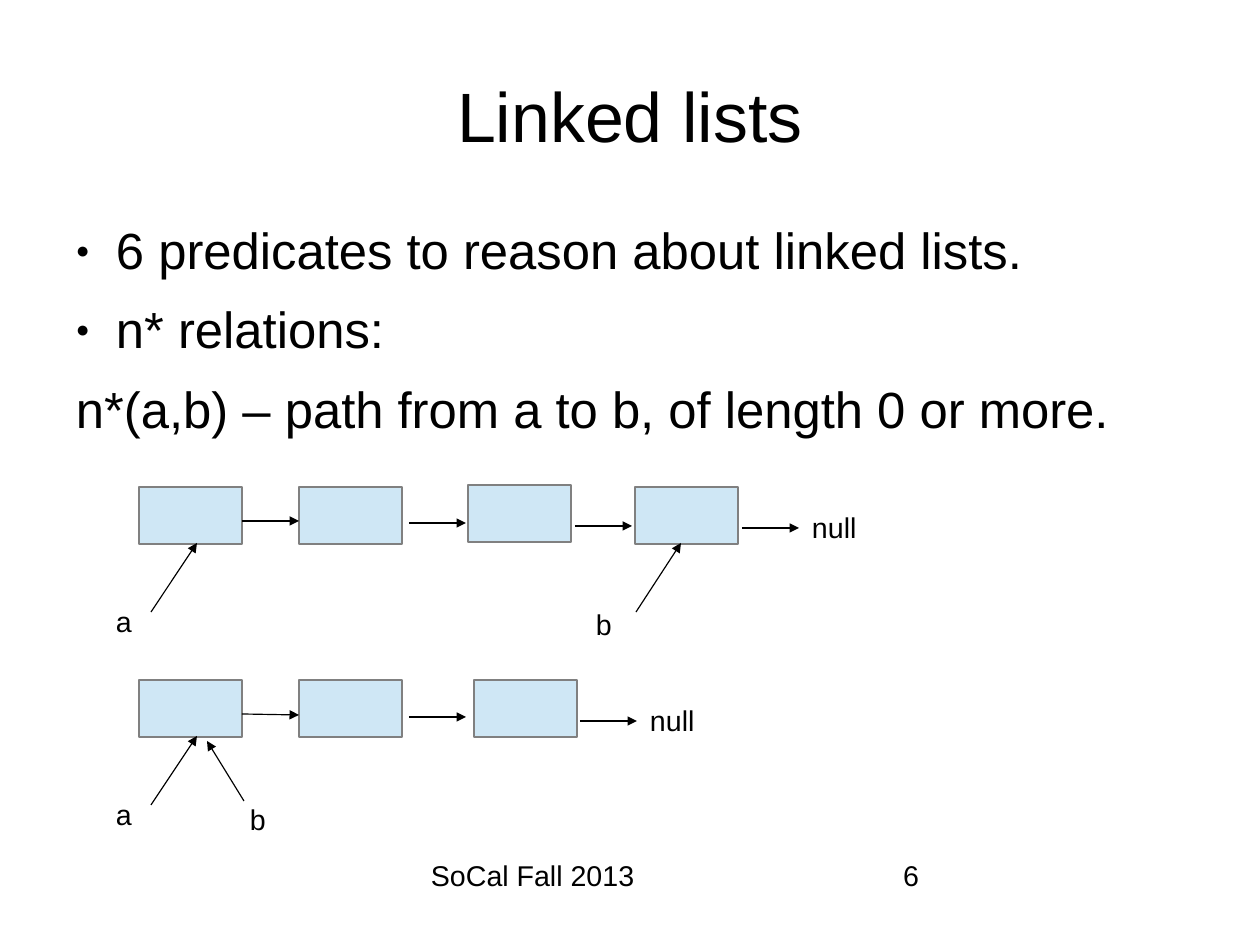
import pptx
import pptx.util
import pptx.dml.color
import pptx.enum.shapes
import pptx.enum.text
import lxml.etree

PX = 8000
BLACK = "000000"
NS = "{http://schemas.openxmlformats.org/drawingml/2006/main}"


def rgb(value):
    return pptx.dml.color.RGBColor.from_string(value)


def add_text(x, y, w, h, lines, size=18, insets=(0, 0, 0, 0), wrap=True):
    tf = s.shapes.add_textbox(x * PX, y * PX, w * PX, h * PX).text_frame
    tf.word_wrap = wrap
    tf.margin_left, tf.margin_top, tf.margin_right, tf.margin_bottom = [v * PX for v in insets]
    tf.text = "\n".join(lines)
    for p in tf.paragraphs:
        p.line_spacing = 0.93
        for r in p.runs:
            r.font.size = pptx.util.Pt(size)
            r.font.name = "Arial"
            r.font.color.rgb = rgb(BLACK)
    return tf


prs = pptx.Presentation()
prs.slide_width = 1260 * PX
prs.slide_height = 945 * PX
s = prs.slides.add_slide(prs.slide_layouts[6])

add_text(431, 861, 398, 64, ["SoCal Fall 2013"])
add_text(903, 861, 293, 64, ["6"])

title = add_text(63, 38, 1134, 158, ["Linked lists"], 44, (0, 5, 0, 0))
title.vertical_anchor = pptx.enum.text.MSO_ANCHOR.MIDDLE
title.paragraphs[0].alignment = pptx.enum.text.PP_ALIGN.CENTER

body = add_text(63, 221, 1109, 549, [
    "6 predicates to reason about linked lists.",
    "n* relations:",
    "n*(a,b) – path from a to b, of length 0 or more.",
], 32, (0, 3, 0, 0))
for i, p in enumerate(body.paragraphs):
    p.space_after = pptx.util.Pt(14.3)
    pPr = p._p.get_or_add_pPr()
    pPr.set("marL", str(53 * PX))
    pPr.set("indent", str(-40 * PX))
    if i < 2:
        color = lxml.etree.SubElement(pPr, NS + "buClr")
        lxml.etree.SubElement(color, NS + "srgbClr", val=BLACK)
        lxml.etree.SubElement(pPr, NS + "buSzPct", val="45000")
        lxml.etree.SubElement(pPr, NS + "buFont", typeface="Arial")
        lxml.etree.SubElement(pPr, NS + "buChar", char="●")
    else:
        lxml.etree.SubElement(pPr, NS + "buNone")

lists = [
    (487,
     [(139, 0), (299, 0), (468, -2), (635, 0)],
     [(242, 34, 299, 34), (409, 36, 466, 36), (575, 39, 632, 39), (742, 41, 799, 41),
      (151, 125, 197, 56), (636, 125, 681, 56)],
     [("null", 801, 18, 67), ("a", 105, 112, 39), ("b", 585, 115, 39)]),
    (680,
     [(139, 0), (299, 0), (474, 0)],
     [(242, 34, 299, 35), (409, 37, 466, 37), (580, 41, 637, 41),
      (151, 125, 197, 56), (244, 121, 207, 61)],
     [("null", 639, 18, 67), ("a", 105, 112, 39), ("b", 239, 117, 39)]),
]
for top, nodes, arrows, labels in lists:
    for x, dy in nodes:
        sp = s.shapes.add_shape(pptx.enum.shapes.MSO_SHAPE.RECTANGLE,
                                x * PX, (top + dy) * PX, 103 * PX, 57 * PX)
        sp.shadow.inherit = False
        sp.fill.solid()
        sp.fill.fore_color.rgb = rgb("CFE7F5")
        sp.line.color.rgb = rgb("808080")
        sp.line.width = pptx.util.Pt(0.75)
    for x1, y1, x2, y2 in arrows:
        cn = s.shapes.add_connector(pptx.enum.shapes.MSO_CONNECTOR.STRAIGHT,
                                    x1 * PX, (top + y1) * PX, x2 * PX, (top + y2) * PX)
        cn.line.color.rgb = rgb(BLACK)
        cn.line.width = pptx.util.Pt(0.75)
        lxml.etree.SubElement(cn.line._get_or_add_ln(), NS + "tailEnd", type="triangle")
        lxml.etree.SubElement(cn._element.spPr, NS + "effectLst")
    for text, x, dy, w in labels:
        add_text(x, top + dy, w, 43, [text], insets=(11, 8, 11, 6), wrap=False)

prs.save("out.pptx")
